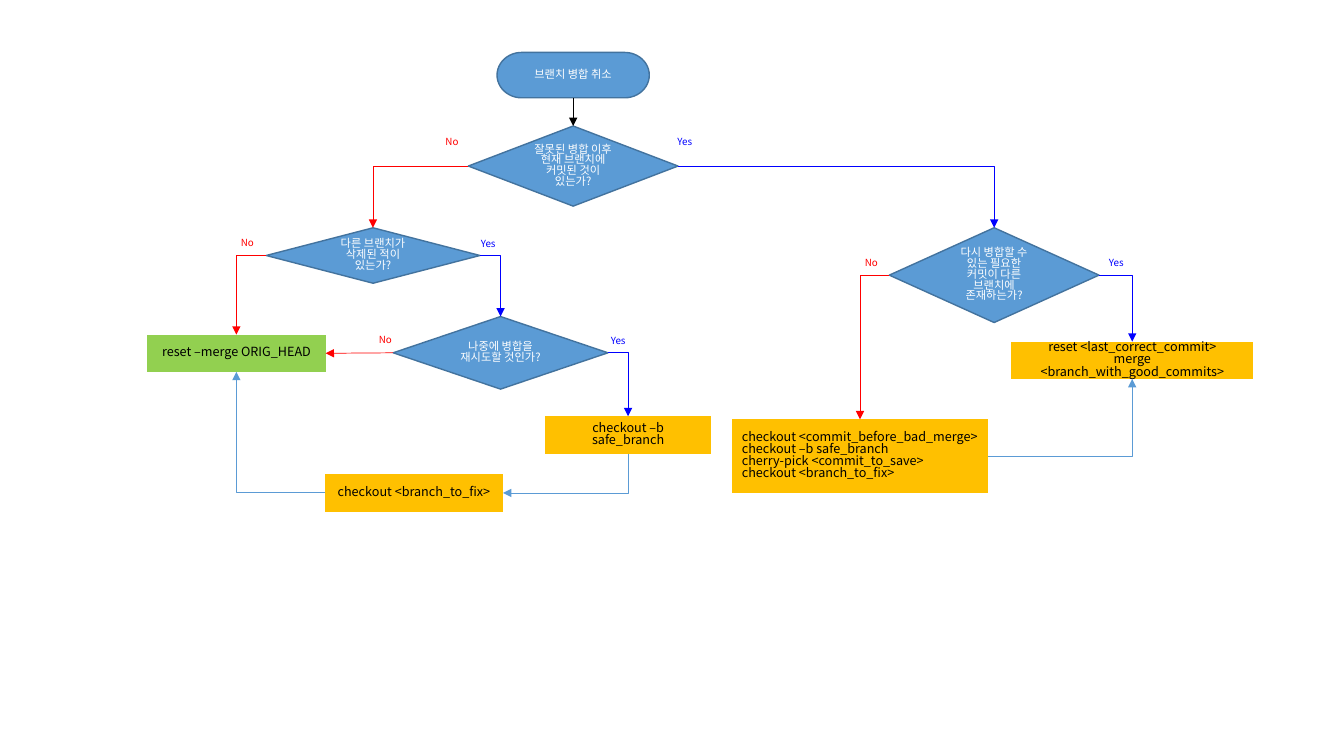
from lxml.etree import SubElement
from pptx import Presentation
from pptx.dml.color import RGBColor
from pptx.enum.shapes import MSO_CONNECTOR, MSO_SHAPE
from pptx.enum.text import MSO_ANCHOR, PP_ALIGN
from pptx.oxml.ns import qn
from pptx.util import Inches, Pt

FONT = "Noto Sans CJK KR"
COLORS = {
    "blue": "5B9BD5", "outline": "43739E", "green": "92D050", "amber": "FFC000",
    "yes": "0000FF", "no": "FF0000", "black": "000000", "white": "FFFFFF",
}
# The grid has ten cells to the inch, across and down
COLUMNS, ROWS = 133.3, 75
CELL = Inches(0.1)
TOP, LEFT, BOTTOM, RIGHT = range(4)  # connection sites of a node

# Kind: preset shape, fill, outline, text colour, text size
KINDS = {
    "start": (MSO_SHAPE.FLOWCHART_TERMINATOR, "blue", "outline", "white", 8),
    "question": (MSO_SHAPE.FLOWCHART_DECISION, "blue", "outline", "white", 8),
    "step": (MSO_SHAPE.FLOWCHART_PROCESS, "amber", None, "black", 9),
    "goal": (MSO_SHAPE.FLOWCHART_PROCESS, "green", None, "black", 9),
}
# Name: kind, left, top, width, height, lines of text
NODES = {
    "start": ("start", 49.3, 5.2, 15.1, 4.5, ["브랜치 병합 취소"]),
    "committed": ("question", 46.45, 12.5, 20.8, 7.95,
                  ["잘못된 병합 이후 현재 브랜치에 커밋된 것이 있는가?"]),
    "deleted": ("question", 26.4, 22.6, 21.2, 5.5,
                ["다른 브랜치가 삭제된 적이 있는가?"]),
    "saved": ("question", 88.2, 22.6, 20.8, 9.4,
              ["다시 병합할 수 있는 필요한 커밋이 다른 브랜치에 존재하는가?"]),
    "retry": ("question", 39, 31.4, 21.3, 7.2, ["나중에 병합을 재시도할 것인가?"]),
    "undo": ("goal", 14.6, 33.2, 17.7, 3.7, ["reset –merge ORIG_HEAD"]),
    "safe": ("step", 54.1, 41.3, 16.4, 3.7, ["checkout –b safe_branch"]),
    "remerge": ("step", 100.3, 33.9, 24, 3.7,
                ["reset <last_correct_commit>", "merge <branch_with_good_commits>"]),
    "rescue": ("step", 72.6, 41.6, 25.4, 7.3,
               ["checkout <commit_before_bad_merge>", "checkout –b safe_branch",
                "cherry-pick <commit_to_save>", "checkout <branch_to_fix>"]),
    "fix": ("step", 32.2, 47, 17.7, 3.8, ["checkout <branch_to_fix>"]),
}
# From node and site, to node and site, colour
ARROWS = [
    ("start", BOTTOM, "committed", TOP, "black"),
    ("committed", RIGHT, "saved", TOP, "yes"),
    ("committed", LEFT, "deleted", TOP, "no"),
    ("deleted", RIGHT, "retry", TOP, "yes"),
    ("deleted", LEFT, "undo", TOP, "no"),
    ("retry", RIGHT, "safe", TOP, "yes"),
    ("retry", LEFT, "undo", RIGHT, "no"),
    ("safe", BOTTOM, "fix", RIGHT, "blue"),
    ("fix", LEFT, "undo", BOTTOM, "blue"),
    ("saved", LEFT, "rescue", TOP, "no"),
    ("saved", RIGHT, "remerge", TOP, "yes"),
    ("rescue", RIGHT, "remerge", BOTTOM, "blue"),
]
LABELS = {
    "Yes": [(66.2, 13.2), (109, 25.2), (46.7, 23.3), (59.6, 32.9)],
    "No": [(43.2, 13.2), (84.8, 25.2), (22.9, 23.2), (36.6, 32.8)],
}


def cells(*counts):
    return [round(count * CELL) for count in counts]


def color(name):
    return RGBColor.from_string(COLORS[name])


def write(frame, lines, size, color_name, align):
    for index, line in enumerate(lines):
        para = frame.paragraphs[0] if index == 0 else frame.add_paragraph()
        para.alignment = align
        para.line_spacing = 0.8
        span = para.add_run()
        span.text = line
        for key, value in {"name": FONT, "size": Pt(size)}.items():
            setattr(span.font, key, value)
        span.font.color.rgb = color(color_name)
        SubElement(span.font._element, qn("a:ea"), typeface=FONT)


def add_node(page, kind, left, top, width, height, lines):
    preset, fill, outline, text_color, size = KINDS[kind]
    box = page.shapes.add_shape(preset, *cells(left, top, width, height))
    box.shadow.inherit = False
    box.fill.solid()
    box.fill.fore_color.rgb = color(fill)
    if outline:
        box.line.color.rgb = color(outline)
        box.line.width = Pt(1)
    else:
        box.line.fill.background()
    for key, value in {"word_wrap": True, "vertical_anchor": MSO_ANCHOR.MIDDLE}.items():
        setattr(box.text_frame, key, value)
    # Long command lists read from the left
    align = PP_ALIGN.LEFT if len(lines) > 2 else PP_ALIGN.CENTER
    write(box.text_frame, lines, size, text_color, align)
    return box


def turn_down_first(arrow):
    """Make an arrow that runs down and to the left start with its downward leg."""
    center_x, center_y = arrow.left + arrow.width // 2, arrow.top + arrow.height // 2
    across, down = arrow.width, arrow.height
    frame = {"width": down, "height": across,
             "left": center_x - down // 2, "top": center_y - across // 2}
    for key, value in frame.items():
        setattr(arrow, key, value)
    transform = arrow._element.spPr.find(qn("a:xfrm"))
    transform.attrib.pop("flipH", None)
    transform.set("rot", str(90 * 60000))


def add_arrow(page, source, source_site, target, target_site, color_name):
    # Facing sites (top and bottom, left and right) differ by two
    straight = abs(source_site - target_site) == 2
    style = MSO_CONNECTOR.STRAIGHT if straight else MSO_CONNECTOR.ELBOW
    arrow = page.shapes.add_connector(style, 0, 0, 0, 0)
    arrow.begin_connect(source, source_site)
    arrow.end_connect(target, target_site)
    properties = arrow._element.spPr
    if not straight:
        properties.find(qn("a:prstGeom")).set("prst", "bentConnector2")
        if source_site == BOTTOM:
            turn_down_first(arrow)
    arrow.line.color.rgb = color(color_name)
    arrow.line.width = Pt(0.5)
    SubElement(arrow.line._get_or_add_ln(), qn("a:tailEnd"), type="triangle")
    SubElement(properties, qn("a:effectLst"))


def add_label(page, text, left, top):
    box = page.shapes.add_textbox(*cells(left, top, 3.5, 2.2))
    box.text_frame.word_wrap = False
    write(box.text_frame, [text], 7, text.lower(), PP_ALIGN.LEFT)


def main():
    deck = Presentation()
    deck.slide_width, deck.slide_height = cells(COLUMNS, ROWS)
    page = deck.slides.add_slide(deck.slide_layouts[6])

    # Nodes of the flow chart
    boxes = {name: add_node(page, *node) for name, node in NODES.items()}

    # Arrows between them
    for source, source_site, target, target_site, color_name in ARROWS:
        add_arrow(page, boxes[source], source_site, boxes[target], target_site, color_name)

    # Answers beside the questions
    for text, places in LABELS.items():
        for left, top in places:
            add_label(page, text, left, top)

    deck.save("out.pptx")


if __name__ == "__main__":
    main()
